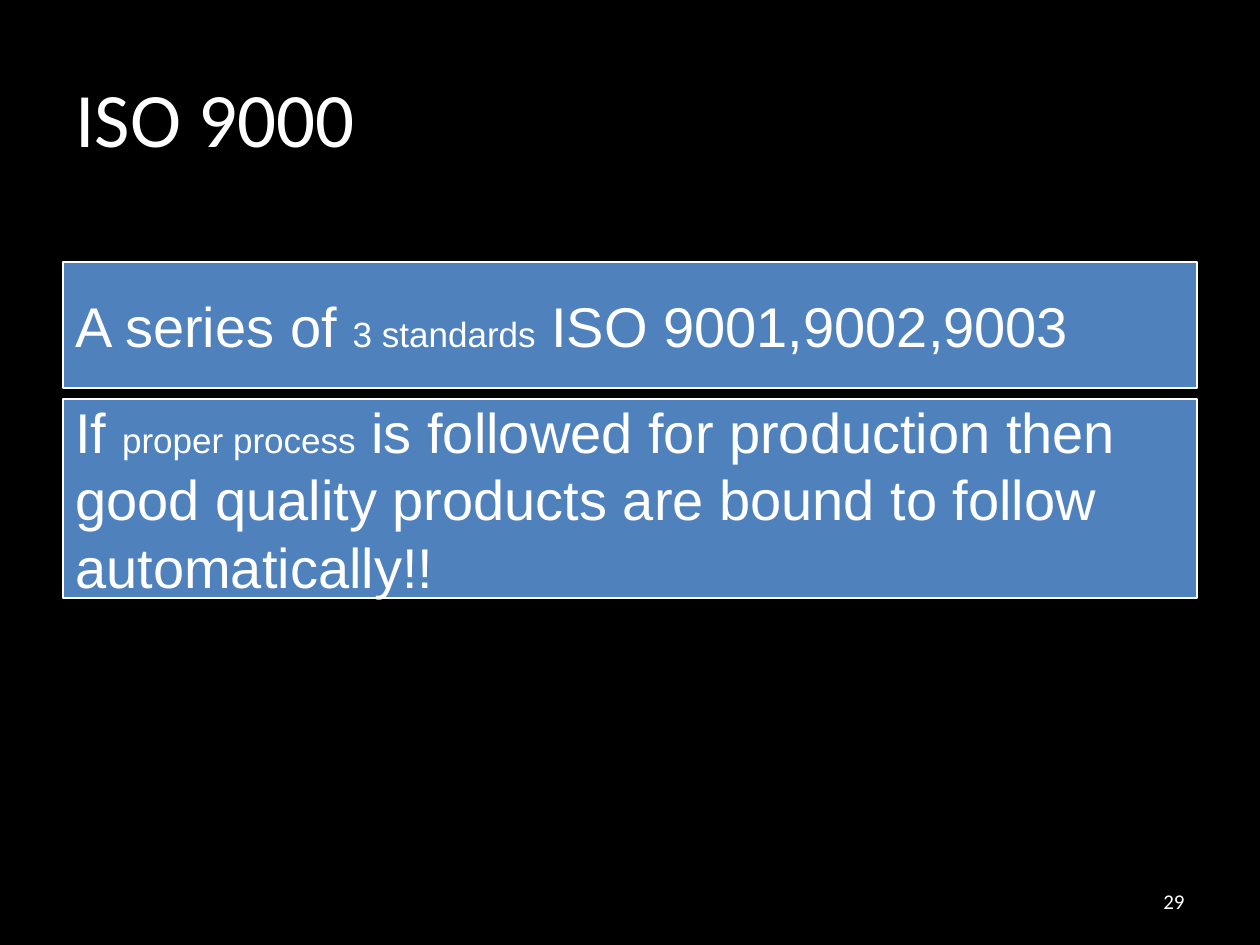
import dataclasses
import typing

import pptx
import pptx.dml.color
import pptx.enum.shapes
import pptx.enum.text
import pptx.util

EMU_PER_PX = 914400 / 126
ALIGN = pptx.enum.text.PP_ALIGN


@dataclasses.dataclass(frozen=True)
class Theme:
    background: str = "000000"
    panel: str = "4F81BD"
    ink: str = "FFFFFF"
    heading_font: str = "Calibri"
    body_font: str = "Arial"
    title_pt: int = 44
    body_pt: int = 32
    small_pt: int = 20
    number_pt: int = 12
    outline_pt: float = 0.75


class Box(typing.NamedTuple):
    left: int
    top: int
    width: int
    height: int


class Statement(typing.NamedTuple):
    box: Box
    before: str
    small: str
    after: str


THEME = Theme()
TITLE_BOX = Box(63, 38, 1134, 157)
NUMBER_BOX = Box(903, 876, 294, 50)
STATEMENTS = [
    Statement(Box(63, 262, 1134, 126),
              "A series of ", "3 standards", " ISO 9001,9002,9003"),
    Statement(Box(63, 399, 1134, 199),
              "If ", "proper process",
              " is followed for production then good quality products "
              "are bound to follow automatically!!"),
]


def px(length: int) -> int:
    return round(length * EMU_PER_PX)


def color(code: str) -> pptx.dml.color.RGBColor:
    return pptx.dml.color.RGBColor.from_string(code)


def format_text(shape, font: str, size: int, align=ALIGN.LEFT):
    """Style the only paragraph of a shape and return it."""
    frame = shape.text_frame
    frame.word_wrap = True
    frame.vertical_anchor = pptx.enum.text.MSO_ANCHOR.MIDDLE
    paragraph = frame.paragraphs[0]
    paragraph.alignment = align
    paragraph.font.name = font
    paragraph.font.size = pptx.util.Pt(size)
    paragraph.font.color.rgb = color(THEME.ink)
    return paragraph


def add_label(slide, box: Box, text: str, size: int, align=ALIGN.LEFT) -> None:
    label = slide.shapes.add_textbox(*map(px, box))
    format_text(label, THEME.heading_font, size, align).add_run().text = text


def add_statement(slide, statement: Statement) -> None:
    panel = slide.shapes.add_shape(
        pptx.enum.shapes.MSO_SHAPE.RECTANGLE, *map(px, statement.box))
    panel.shadow.inherit = False
    panel.fill.solid()
    panel.fill.fore_color.rgb = color(THEME.panel)
    panel.line.color.rgb = color(THEME.ink)
    panel.line.width = pptx.util.Pt(THEME.outline_pt)
    paragraph = format_text(panel, THEME.body_font, THEME.body_pt)
    for text in (statement.before, statement.small, statement.after):
        run = paragraph.add_run()
        run.text = text
        if text == statement.small:
            run.font.size = pptx.util.Pt(THEME.small_pt)


def main() -> None:
    deck = pptx.Presentation()
    deck.slide_width, deck.slide_height = px(1260), px(945)
    slide = deck.slides.add_slide(deck.slide_layouts[6])

    # Background
    slide.background.fill.solid()
    slide.background.fill.fore_color.rgb = color(THEME.background)

    # Title, statements and page number
    add_label(slide, TITLE_BOX, "ISO 9000", THEME.title_pt)
    for statement in STATEMENTS:
        add_statement(slide, statement)
    add_label(slide, NUMBER_BOX, "29", THEME.number_pt, ALIGN.RIGHT)

    deck.save("out.pptx")


if __name__ == "__main__":
    main()
